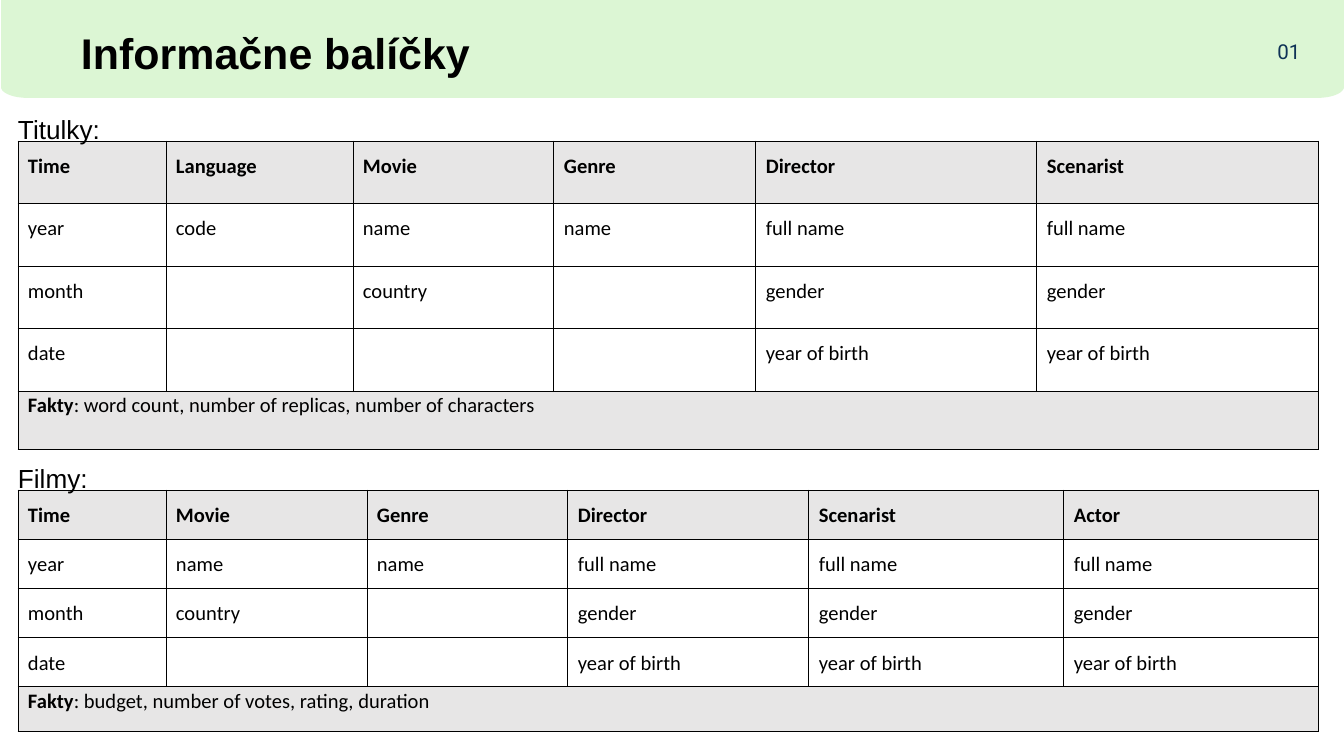
import math

from lxml import etree
from pptx import Presentation
from pptx.dml.color import RGBColor
from pptx.enum.text import MSO_AUTO_SIZE, PP_ALIGN
from pptx.oxml.ns import qn
from pptx.util import Pt

PX = 6804
CENTER = PP_ALIGN.CENTER
GROW = MSO_AUTO_SIZE.SHAPE_TO_FIT_TEXT
BLACK = RGBColor(0x00, 0x00, 0x00)
NAVY = RGBColor(0x0F, 0x32, 0x56)
MINT = RGBColor(0xDC, 0xF6, 0xD4)
GRAY = RGBColor(0xE7, 0xE6, 0xE6)

PERSON = ["full name", "gender", "year of birth"]
ATTRIBUTES = {
    "Time": ["year", "month", "date"],
    "Language": ["code"],
    "Movie": ["name", "country"],
    "Genre": ["name"],
    "Director": PERSON,
    "Scenarist": PERSON,
    "Actor": PERSON,
}
SUBTITLE_WIDTHS = {"Time": 148, "Language": 187, "Movie": 201, "Genre": 202,
                   "Director": 281, "Scenarist": 282}
FILM_WIDTHS = {"Time": 148, "Movie": 201, "Genre": 201, "Director": 241,
               "Scenarist": 255, "Actor": 255}


def write(frame, text, font="Calibri", size=11, color=BLACK, bold=False,
          align=None, spacing=1.0, before=None, after=None):
    """Append a formatted run to the first paragraph of a text frame."""
    paragraph = frame.paragraphs[0]
    paragraph.line_spacing = spacing
    if align is not None:
        paragraph.alignment = align
    if before is not None:
        paragraph.space_before = Pt(before)
    if after is not None:
        paragraph.space_after = Pt(after)
    run = paragraph.add_run()
    run.text = text
    run.font.name = font
    run.font.size = Pt(size)
    run.font.bold = bold
    run.font.color.rgb = color


def add_label(slide, left, top, width, height, text, **text_format):
    """Place a text box without insets."""
    frame = slide.shapes.add_textbox(
        left * PX, top * PX, width * PX, height * PX).text_frame
    frame.margin_left = frame.margin_right = 0
    frame.margin_top = frame.margin_bottom = 0
    frame.word_wrap = True
    frame.auto_size = GROW
    write(frame, text, **text_format)


def add_band(slide, left, top, width, height, radius_x=27, radius_y=11):
    """Draw a band with elliptical corners."""
    points = []
    for degrees in range(0, 360, 90):
        for step in range(0, 91, 6):
            angle = math.radians(degrees + step)
            right = degrees in (0, 270)
            bottom = degrees in (0, 90)
            center_x = left + (width - radius_x if right else radius_x)
            center_y = top + (height - radius_y if bottom else radius_y)
            points.append((round((center_x + radius_x * math.cos(angle)) * PX),
                           round((center_y + radius_y * math.sin(angle)) * PX)))
    builder = slide.shapes.build_freeform(*points[0])
    builder.add_line_segments(points[1:], close=True)
    band = builder.convert_to_shape()
    band.shadow.inherit = False
    band.fill.solid()
    band.fill.fore_color.rgb = MINT
    band.line.fill.background()


def add_header(slide, left, top, width, height):
    """Place the title band with the title and the page number."""
    add_band(slide, left, top, width, height)
    add_label(slide, left + 80, top + 43, 695, 52, "Informačne balíčky",
              font="Arial", size=23, bold=True, spacing=1.15, before=12, after=12)
    add_label(slide, left + 1268, top + 56, 40, 26, "01",
              font="Roboto", color=NAVY, align=CENTER, spacing=1.3)


def style_cell(cell, shaded):
    """Set the insets, thin black borders and fill of a cell."""
    cell.margin_left = cell.margin_right = 10 * PX
    cell.margin_top = cell.margin_bottom = 0
    properties = cell._tc.get_or_add_tcPr()
    for side in ("lnL", "lnR", "lnT", "lnB"):
        border = etree.SubElement(properties, qn("a:" + side), w=str(Pt(0.5)))
        fill = etree.SubElement(border, qn("a:solidFill"))
        etree.SubElement(fill, qn("a:srgbClr"), val=str(BLACK))
    if shaded:
        cell.fill.solid()
        cell.fill.fore_color.rgb = GRAY
    else:
        cell.fill.background()


def add_package(slide, left, top, width, body_height, facts_height,
                label, widths, facts):
    """Place a labelled table of dimensions with a row of facts below."""
    body_rows = 4
    frame = slide.shapes.add_table(
        body_rows + 1, len(widths), left * PX, (top + 39) * PX,
        width * PX, (body_height + facts_height) * PX)
    table = frame.table
    table.first_row = table.horz_banding = False
    for row in table.rows:
        row.height = body_height * PX // body_rows
    table.rows[body_rows].height = facts_height * PX
    for row_index in range(body_rows + 1):
        for column_index in range(len(widths)):
            style_cell(table.cell(row_index, column_index),
                       row_index in (0, body_rows))

    for column_index, (name, column_width) in enumerate(widths.items()):
        table.columns[column_index].width = column_width * PX
        after = 8 if ATTRIBUTES[name] is PERSON else None
        for row_index, text in enumerate([name] + ATTRIBUTES[name]):
            write(table.cell(row_index, column_index).text_frame, text,
                  bold=row_index == 0, spacing=1.5, after=after)

    facts_cell = table.cell(body_rows, 0)
    facts_cell.merge(table.cell(body_rows, len(widths) - 1))
    write(facts_cell.text_frame, "Fakty", bold=True, spacing=1.08)
    write(facts_cell.text_frame, ": " + facts, spacing=1.08)
    add_label(slide, left, top, 534, 32, label,
              font="Arial", size=14, spacing=1.36)


def main():
    """Build and save the slide."""
    presentation = Presentation()
    presentation.slide_width = 1344 * PX
    presentation.slide_height = 756 * PX
    slide = presentation.slides.add_slide(presentation.slide_layouts[6])
    add_header(slide, 1, -24, 1343, 122)
    add_package(slide, 18, 102, 1301, 250, 58, "Titulky:", SUBTITLE_WIDTHS,
                "word count, number of replicas, number of characters")
    add_package(slide, 18, 451, 1301, 197, 45, "Filmy:", FILM_WIDTHS,
                "budget, number of votes, rating, duration")
    presentation.save("out.pptx")


if __name__ == "__main__":
    main()
